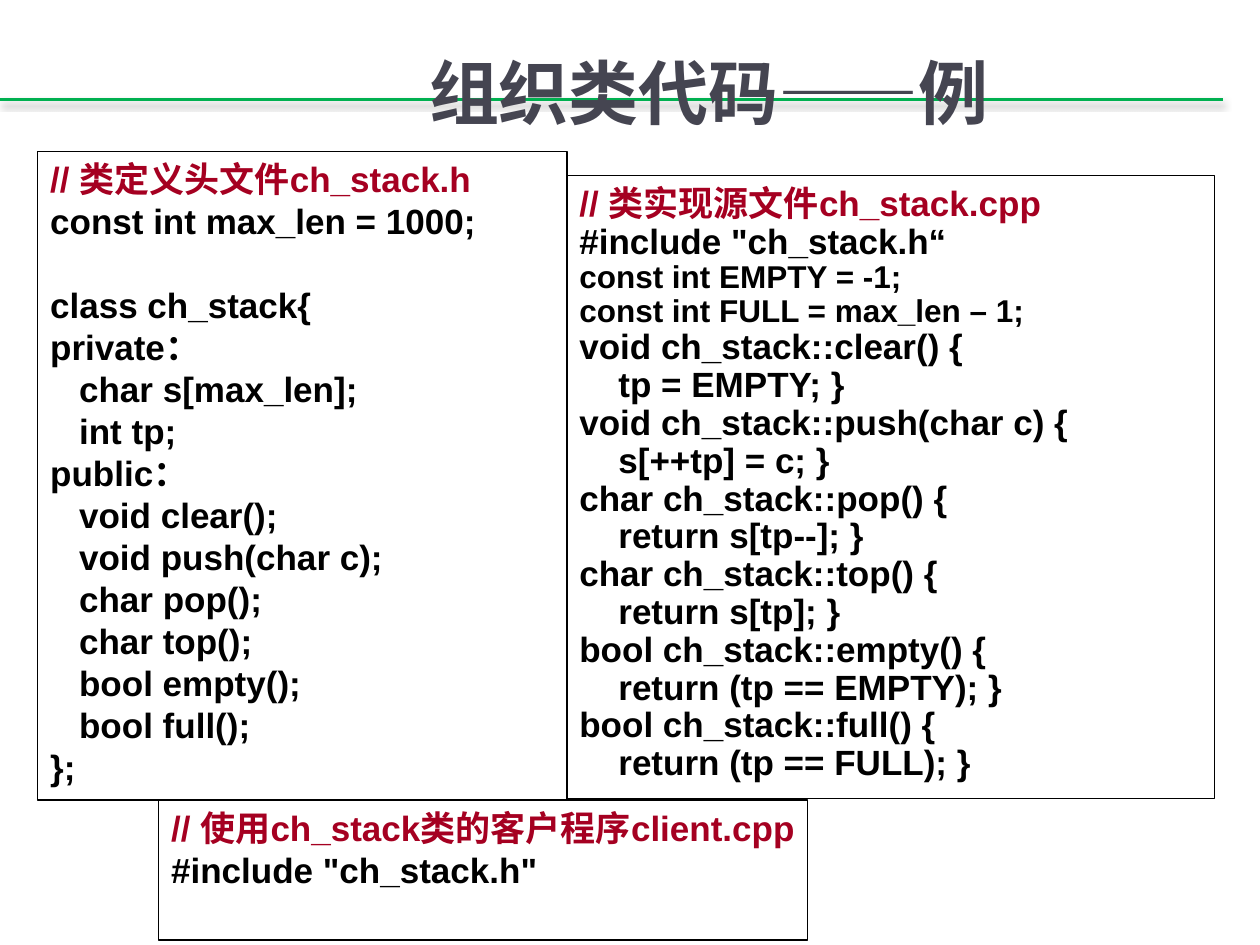
from lxml import etree
from pptx import Presentation
from pptx import util as u
from pptx.dml.color import RGBColor
from pptx.enum import shapes, text
from pptx.oxml.ns import qn

COLORS = {"rule": "00B050", "shadow": "000000", "title": "454551",
          "heading": "A50021", "code": "000000", "border": "000000"}
FONT = "Arial"
LEADING = 1.2

HEADER = [
    ("const int max_len = 1000;", {}),
    ("class ch_stack{", {"before": 24}),
    ("private：", {}),
    ("char s[max_len];", {"indent": 0.23}),
    ("int tp;", {"indent": 0.23}),
    ("public：", {}),
    ("void clear();", {"indent": 0.23}),
    ("void push(char c);", {"indent": 0.23}),
    ("char pop();", {"indent": 0.23}),
    ("char top();", {"indent": 0.23}),
    ("bool empty();", {"indent": 0.23}),
    ("bool full();", {"indent": 0.23}),
    ("};", {}),
]
METHODS = [
    ("void ch_stack::clear() {", "tp = EMPTY; }"),
    ("void ch_stack::push(char c) {", "s[++tp] = c; }"),
    ("char ch_stack::pop() {", "return s[tp--]; }"),
    ("char ch_stack::top() {", "return s[tp]; }"),
    ("bool ch_stack::empty() {", "return (tp == EMPTY); }"),
    ("bool ch_stack::full() {", "return (tp == FULL); }"),
]
SOURCE = [
    ('#include "ch_stack.h“', {}),
    ("const int EMPTY = -1;", {"size": 18}),
    ("const int FULL = max_len – 1;", {"size": 18}),
]
for signature, body in METHODS:
    SOURCE += [(signature, {}), (body, {"indent": 0.31})]
CLIENT = [('#include "ch_stack.h"', {})]


def rgb(name):
    """Return the named colour."""
    return RGBColor.from_string(COLORS[name])


def add_run(p, content, size, color):
    """Add one bold run to a paragraph."""
    r = p.add_run()
    r.text = content
    r.font.name, r.font.size, r.font.bold = FONT, u.Pt(size), True
    r.font.color.rgb = rgb(color)


def add_rule(s):
    """Draw the shadowed line behind the title."""
    y = u.Inches(0.79)
    c = s.shapes.add_connector(shapes.MSO_CONNECTOR.STRAIGHT, 0, y, u.Inches(9.71), y)
    c.line.color.rgb = rgb("rule")
    c.line.width = u.Pt(1.25)
    effects = etree.SubElement(c._element.spPr, qn("a:effectLst"))
    shadow = etree.SubElement(effects, qn("a:outerShdw"), blurRad=str(u.Pt(4)),
                              dist=str(u.Pt(2.5)), dir="5400000", rotWithShape="0")
    color = etree.SubElement(shadow, qn("a:srgbClr"), val=COLORS["shadow"])
    etree.SubElement(color, qn("a:alpha"), val="47000")


def add_title(s, content):
    """Add the centred slide title."""
    sp = s.shapes.add_textbox(u.Inches(1.25), u.Inches(0.42), u.Inches(8.75), u.Inches(0.62))
    tf = sp.text_frame
    tf.word_wrap = True
    tf.vertical_anchor = text.MSO_ANCHOR.MIDDLE
    p = tf.paragraphs[0]
    p.alignment = text.PP_ALIGN.CENTER
    add_run(p, content, 40, "title")


def add_code_line(p, content, spacing=1, size=20, indent=0, before=0, color="code"):
    """Fill a paragraph with one line of code."""
    p.alignment = text.PP_ALIGN.LEFT
    p.line_spacing = u.Pt(round(size * LEADING * spacing, 1))
    p.space_before = u.Pt(before)
    if indent:
        pPr = p._p.get_or_add_pPr()
        pPr.set("marL", str(u.Inches(indent)))
        pPr.set("indent", "0")
    add_run(p, content, size, color)


def add_code_box(s, box, heading, lines, spacing=1):
    """Add a bordered box with a heading comment and code lines."""
    sp = s.shapes.add_shape(shapes.MSO_SHAPE.RECTANGLE, *map(u.Inches, box))
    sp.shadow.inherit = False
    sp.fill.background()
    sp.line.color.rgb = rgb("border")
    sp.line.width = u.Pt(0.75)
    tf = sp.text_frame
    tf.word_wrap = True
    tf.vertical_anchor = text.MSO_ANCHOR.TOP
    add_code_line(tf.paragraphs[0], heading, color="heading")
    for content, style in lines:
        add_code_line(tf.add_paragraph(), content, spacing, **style)


def main():
    """Build and save the slide."""
    prs = Presentation()
    prs.slide_width, prs.slide_height = u.Inches(10), u.Inches(7.5)
    s = prs.slides.add_slide(prs.slide_layouts[6])
    add_rule(s)
    add_title(s, "组织类代码——例")
    add_code_box(s, (0.3, 1.2, 4.2, 5.15), "// 类定义头文件ch_stack.h", HEADER)
    add_code_box(s, (4.5, 1.39, 5.14, 4.95), "// 类实现源文件ch_stack.cpp", SOURCE, 0.9)
    add_code_box(s, (1.26, 6.35, 5.15, 1.11), "// 使用ch_stack类的客户程序client.cpp", CLIENT)
    prs.save("out.pptx")


if __name__ == "__main__":
    main()
